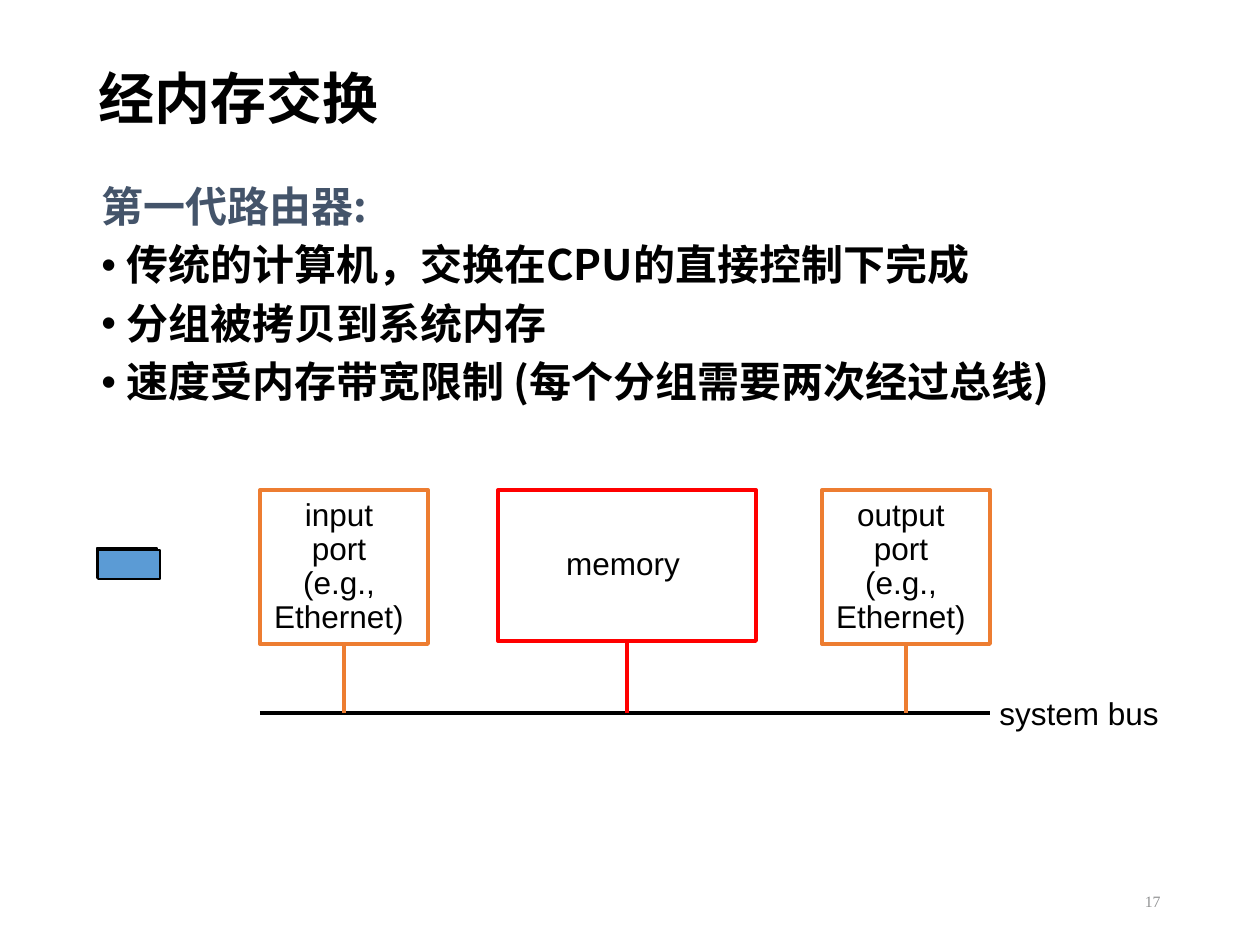
from lxml import etree
from pptx import Presentation
from pptx.dml.color import RGBColor
from pptx.enum.shapes import MSO_CONNECTOR, MSO_SHAPE
from pptx.enum.text import MSO_ANCHOR, PP_ALIGN
from pptx.oxml.ns import qn
from pptx.util import Pt

PX = 914400 / 126
RECT, STRAIGHT = MSO_SHAPE.RECTANGLE, MSO_CONNECTOR.STRAIGHT
LEFT, CENTER, RIGHT = PP_ALIGN.LEFT, PP_ALIGN.CENTER, PP_ALIGN.RIGHT
TOP, MIDDLE = MSO_ANCHOR.TOP, MSO_ANCHOR.MIDDLE

THEME = {
    "cjk": "Noto Sans CJK SC", "latin": "Arial", "number": "Times New Roman",
    "title": 32, "body": 24, "label": 18, "small": 9,
    "black": RGBColor(0x00, 0x00, 0x00), "white": RGBColor(0xFF, 0xFF, 0xFF),
    "slate": RGBColor(0x44, 0x54, 0x6A), "gray": RGBColor(0x91, 0x92, 0x93),
    "orange": RGBColor(0xED, 0x7D, 0x31), "red": RGBColor(0xFF, 0x00, 0x00),
    "blue": RGBColor(0x5B, 0x9B, 0xD5),
}


def px(*values):
    return [round(v * PX) for v in values]


def write(shape, text, font, size, color, align=LEFT, anchor=TOP, spacing=0.9, bold=False):
    tf = shape.text_frame
    tf.text = text
    tf.word_wrap = True
    tf.vertical_anchor = anchor
    for p in tf.paragraphs:
        p.alignment = align
        p.line_spacing = spacing
        for r in p.runs:
            r.font.name = THEME[font]
            r.font.size = Pt(THEME[size])
            r.font.bold = bold
            r.font.color.rgb = THEME[color]
            if font == "cjk":
                ea = etree.SubElement(r.font._element, qn("a:ea"))
                ea.set("typeface", THEME[font])
    return tf


prs = Presentation()
prs.slide_width, prs.slide_height = px(1260, 945)
s = prs.slides.add_slide(prs.slide_layouts[5])

# Title
title = s.shapes.title
title.left, title.top, title.width, title.height = px(86, 59, 1071, 84)
write(title, "经内存交换", "cjk", "title", "black", anchor=MIDDLE, bold=True)

# Heading and bullets
body = s.shapes.add_textbox(*px(89, 180, 1081, 253))
lines = ["第一代路由器:", "传统的计算机，交换在CPU的直接控制下完成",
         "分组被拷贝到系统内存", "速度受内存带宽限制 (每个分组需要两次经过总线)"]
tf = write(body, "\n".join(lines), "cjk", "body", "black", bold=True)
tf.paragraphs[0].runs[0].font.color.rgb = THEME["slate"]
indent = px(25)[0]
for p in tf.paragraphs[1:]:
    p.space_before = Pt(7.5)
    pPr = p._p.get_or_add_pPr()
    pPr.set("marL", str(indent))
    pPr.set("indent", str(-indent))
    etree.SubElement(pPr, qn("a:buFont")).set("typeface", THEME["latin"])
    etree.SubElement(pPr, qn("a:buChar")).set("char", "•")

# Slide number
number = s.shapes.add_textbox(*px(890, 876, 283, 50))
write(number, "17", "number", "small", "gray", RIGHT, MIDDLE, 1.0)

# Ports and memory, each with its link down to the bus
BUS_Y = 713
links = [(260, 713, 990, 713, "black", None)]
for text, x, w, h, color, inset in [
    ("input\nport\n(e.g.,\nEthernet)", 260, 168, 154, "orange", 10),
    ("memory", 498, 258, 151, "red", 8),
    ("output\nport\n(e.g.,\nEthernet)", 822, 168, 154, "orange", 10),
]:
    box = s.shapes.add_shape(RECT, *px(x, 490, w, h))
    box.shadow.inherit = False
    box.fill.solid()
    box.fill.fore_color.rgb = THEME["white"]
    box.line.color.rgb = THEME[color]
    box.line.width = Pt(2.25)
    tf = write(box, text, "latin", "label", "black", CENTER, MIDDLE)
    tf.margin_left, tf.margin_right = px(0, inset)
    links.append((x + w // 2, 490 + h, x + w // 2, BUS_Y, color, box))

# System bus and links
for x1, y1, x2, y2, color, box in links:
    line = s.shapes.add_connector(STRAIGHT, *px(x1, y1, x2, y2))
    line.line.color.rgb = THEME[color]
    line.line.width = Pt(2.25)
    etree.SubElement(line._element.spPr, qn("a:effectLst"))
    if box is not None:
        line.begin_connect(box, 2)

bus_label = s.shapes.add_textbox(*px(987, 688, 185, 50))
write(bus_label, "system bus", "latin", "label", "black", anchor=MIDDLE, spacing=1.0)
bus_label.text_frame.word_wrap = False

# Two stacked packets
for x, y, w, h in [(97, 548, 60, 30), (98, 550, 62, 29)]:
    packet = s.shapes.add_shape(RECT, *px(x, y, w, h))
    packet.shadow.inherit = False
    packet.fill.solid()
    packet.fill.fore_color.rgb = THEME["blue"]
    packet.line.color.rgb = THEME["black"]
    packet.line.width = Pt(0.75)

prs.save("out.pptx")
